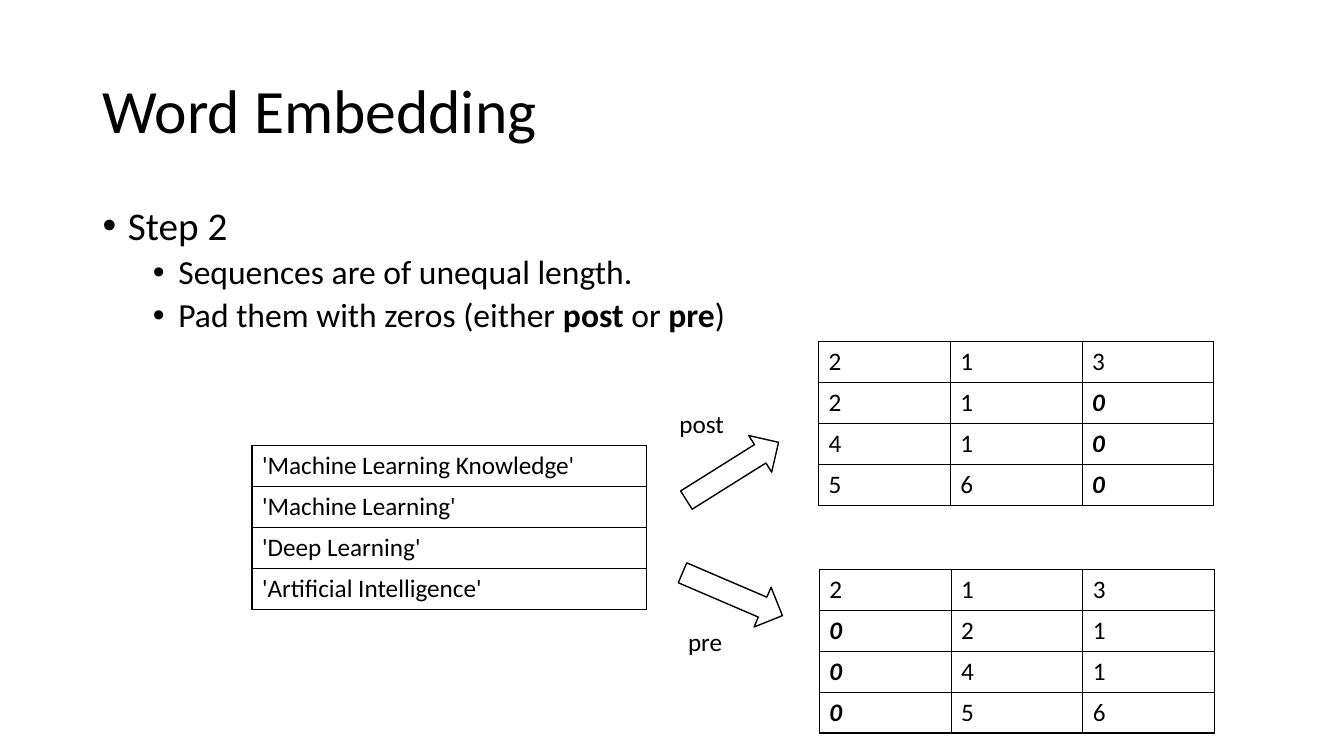
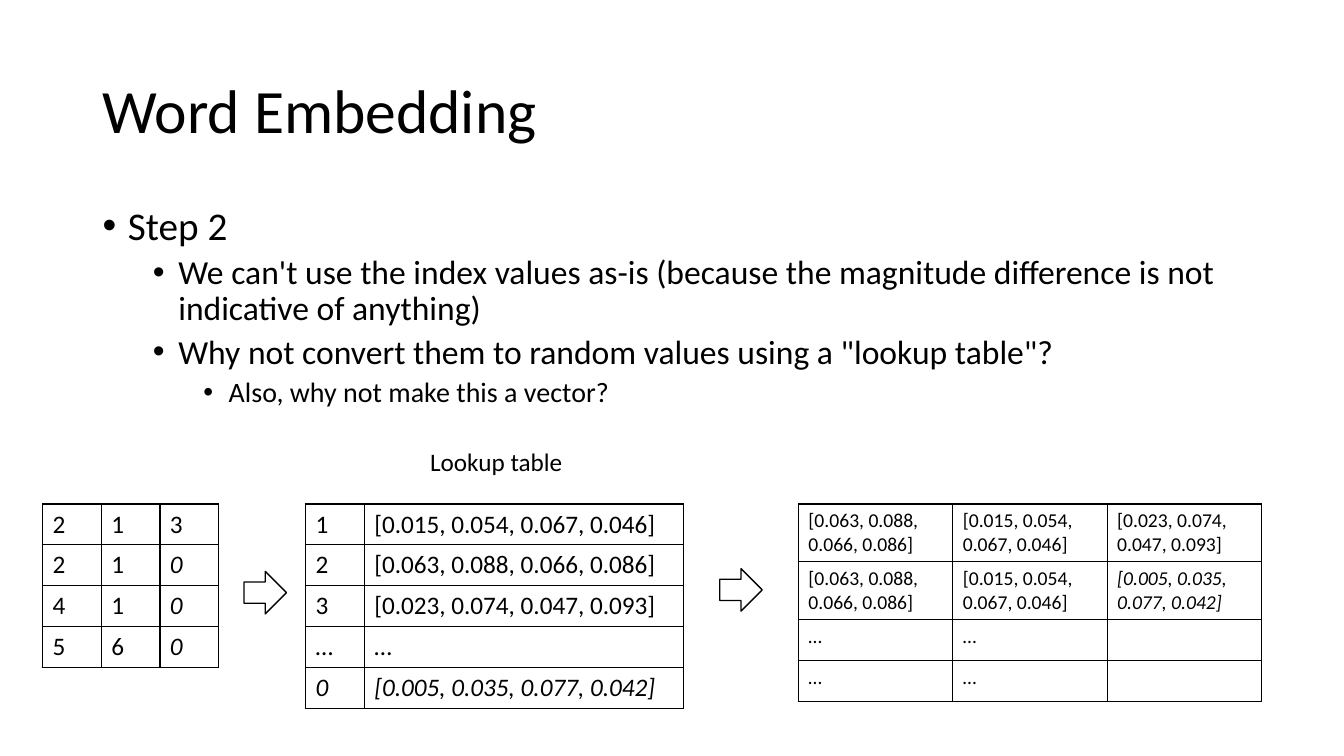
import pptx
import pptx.dml.color
import pptx.enum.shapes
import pptx.enum.text
import pptx.oxml
import pptx.oxml.ns
import pptx.util
import lxml.etree

Cm = pptx.util.Cm
Pt = pptx.util.Pt
qn = pptx.oxml.ns.qn
FONT = "Calibri"
BLACK = "000000"
WHITE = "FFFFFF"
ROW_HEIGHT = 1.03
LEVEL_SIZES = [28, 24, 20]
LEVEL_GAPS = [10, 5, 5]


def colour(code):
    return pptx.dml.color.RGBColor.from_string(code)


def add_grid(slide, left, top, widths, rows, size, bold_marked):
    frame = slide.shapes.add_table(
        len(rows), len(widths), Cm(left), Cm(top),
        Cm(sum(widths)), Cm(ROW_HEIGHT * len(rows)))
    grid = frame.table
    grid.first_row = False
    grid.horz_banding = False
    for column, width in zip(grid.columns, widths):
        column.width = Cm(width)
    for row, values in zip(grid.rows, rows):
        row.height = Cm(ROW_HEIGHT)
        for cell, value in zip(row.cells, values):
            marked = value.startswith("*")
            cell.text = value.lstrip("*")
            font = cell.text_frame.paragraphs[0].font
            font.name = FONT
            font.size = Pt(size)
            font.color.rgb = colour(BLACK)
            font.italic = marked
            font.bold = marked and bold_marked
            properties = cell._tc.get_or_add_tcPr()
            for side in ("a:lnL", "a:lnR", "a:lnT", "a:lnB"):
                border = lxml.etree.SubElement(properties, qn(side), w=str(Pt(1)))
                fill = lxml.etree.SubElement(border, qn("a:solidFill"))
                lxml.etree.SubElement(fill, qn("a:srgbClr"), val=BLACK)
            cell.fill.solid()
            cell.fill.fore_color.rgb = colour(WHITE)


post_padded = [["2", "1", "3"], ["2", "1", "*0"], ["4", "1", "*0"], ["5", "6", "*0"]]
pre_padded = [["2", "1", "3"], ["*0", "2", "1"], ["*0", "4", "1"], ["*0", "5", "6"]]
phrases = [["'Machine Learning Knowledge'"], ["'Machine Learning'"],
           ["'Deep Learning'"], ["'Artificial Intelligence'"]]
vectors = {
    "1": "[0.015, 0.054, 0.067, 0.046]",
    "2": "[0.063, 0.088, 0.066, 0.086]",
    "3": "[0.023, 0.074, 0.047, 0.093]",
    "…": "…",
    "*0": "*[0.005, 0.035, 0.077, 0.042]",
}
lookup = [[index, vector] for index, vector in vectors.items()]
embedded = [[vectors[index] for index in row] for row in post_padded[:2]]
embedded += [["…", "…", ""]] * 2

pages = [
    {
        "bullets": [(0, "Step 2"),
                    (1, "Sequences are of unequal length."),
                    (1, "Pad them with zeros (either *post* or *pre*)")],
        "grids": [(6.35, 11.23, [9.95], phrases, 18, True),
                  (20.65, 14.35, [3.32] * 3, pre_padded, 18, True),
                  (20.63, 8.61, [3.32] * 3, post_padded, 18, True)],
        "arrows": [(17.09, 11.33, 2.74, 1.09, 327.9),
                   (17.09, 14.43, 2.74, 1.09, 23.2)],
        "labels": [("post", 16.87, 10.16, 1.96), ("pre", 17.09, 15.65, 1.96)],
    },
    {
        "bullets": [(0, "Step 2"),
                    (1, "We can't use the index values as-is (because the magnitude "
                        "difference is not indicative of anything)"),
                    (1, 'Why not convert them to random values using a "lookup table"?'),
                    (2, "Also, why not make this a vector?")],
        "grids": [(1.07, 12.7, [1.48] * 3, post_padded, 18, False),
                  (7.7, 12.7, [1.48, 8.05], lookup, 18, False),
                  (20.12, 12.7, [3.89] * 3, embedded, 14, False)],
        "arrows": [(6.15, 14.4, 1.07, 1.07, 0), (18.14, 14.33, 1.07, 1.07, 0)],
        "labels": [("Lookup table", 10.59, 11.13, 6.55)],
    },
]

deck = pptx.Presentation()
deck.slide_width = Cm(33.87)
deck.slide_height = Cm(19.05)

for page in pages:
    slide = deck.slides.add_slide(deck.slide_layouts[1])
    heading = slide.shapes.title
    body = slide.placeholders[1]
    for holder, top, height in ((heading, 1.01, 3.68), (body, 5.07, 12.09)):
        holder.left, holder.top = Cm(2.33), Cm(top)
        holder.width, holder.height = Cm(29.21), Cm(height)
        holder.text_frame.auto_size = pptx.enum.text.MSO_AUTO_SIZE.NONE

    heading.text_frame.text = "Word Embedding"
    heading.text_frame.vertical_anchor = pptx.enum.text.MSO_ANCHOR.MIDDLE
    title_line = heading.text_frame.paragraphs[0]
    title_line.alignment = pptx.enum.text.PP_ALIGN.LEFT
    title_line.line_spacing = 0.9
    title_line.font.name = FONT
    title_line.font.size = Pt(44)
    title_line.font.color.rgb = colour(BLACK)

    for position, (level, text) in enumerate(page["bullets"]):
        if position == 0:
            point = body.text_frame.paragraphs[0]
        else:
            point = body.text_frame.add_paragraph()
        for part, words in enumerate(text.split("*")):
            run = point.add_run()
            run.text = words
            if part % 2:
                run.font.bold = True
        point.level = level
        properties = point._p.get_or_add_pPr()
        properties.set("marL", str(Cm(0.64 + 1.27 * level)))
        properties.set("indent", str(Cm(-0.64)))
        lxml.etree.SubElement(properties, qn("a:buFont"), typeface="Arial")
        lxml.etree.SubElement(properties, qn("a:buChar"), char="•")
        point.line_spacing = 0.9
        point.space_before = Pt(LEVEL_GAPS[level])
        point.font.name = FONT
        point.font.size = Pt(LEVEL_SIZES[level])
        point.font.color.rgb = colour(BLACK)

    for grid in page["grids"]:
        add_grid(slide, *grid)

    for left, top, width, height, angle in page["arrows"]:
        arrow = slide.shapes.add_shape(
            pptx.enum.shapes.MSO_SHAPE.RIGHT_ARROW,
            Cm(left), Cm(top), Cm(width), Cm(height))
        arrow.rotation = angle
        arrow.shadow.inherit = False
        arrow.fill.solid()
        arrow.fill.fore_color.rgb = colour(WHITE)
        arrow.line.color.rgb = colour(BLACK)
        arrow.line.width = Pt(1)

    for text, left, top, width in page["labels"]:
        label = slide.shapes.add_textbox(Cm(left), Cm(top), Cm(width), Cm(1.03))
        label.text_frame.word_wrap = True
        label.text_frame.text = text
        caption = label.text_frame.paragraphs[0]
        caption.font.name = FONT
        caption.font.size = Pt(18)
        caption.font.color.rgb = colour(BLACK)

deck.save("out.pptx")
